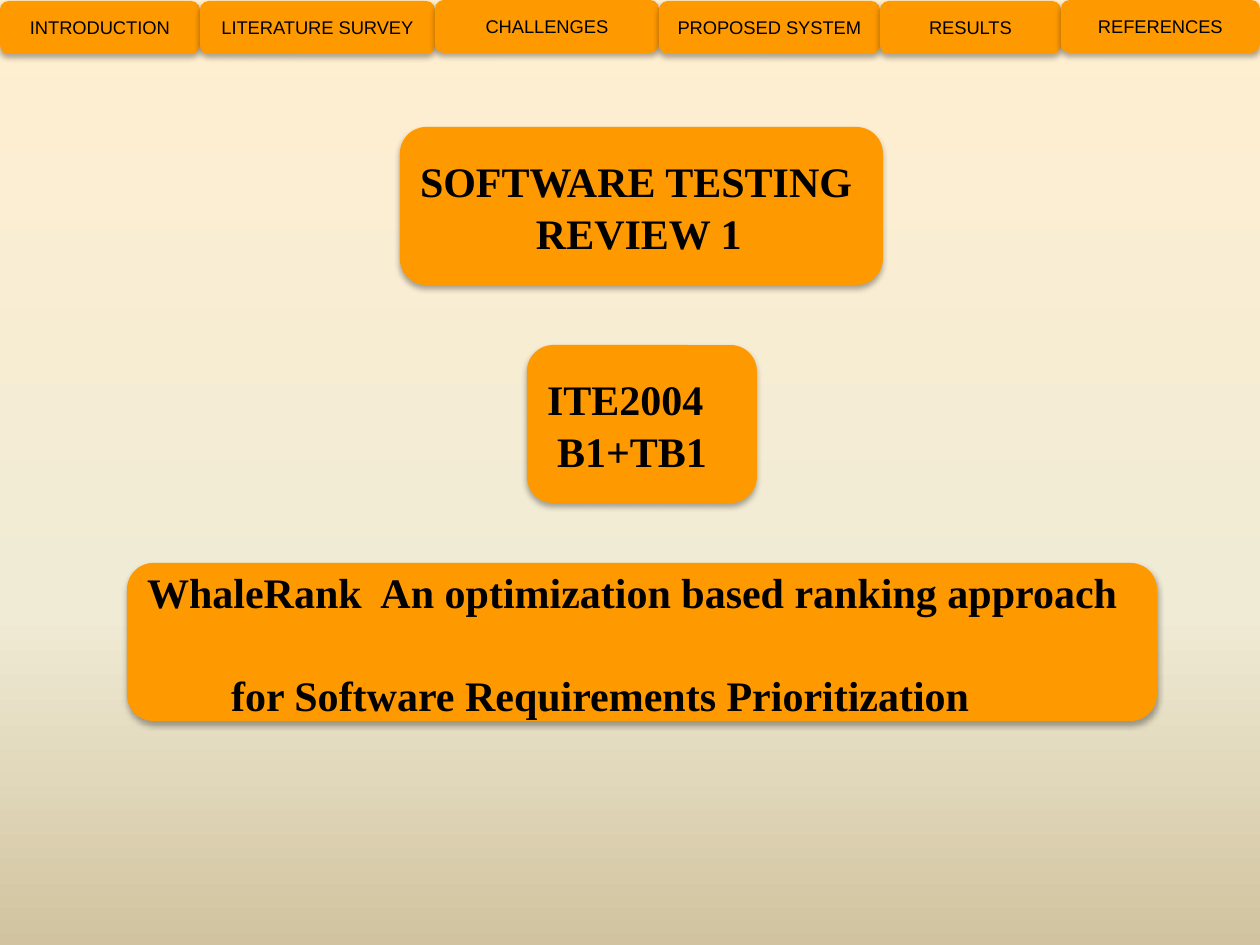
from pptx import Presentation
from pptx.dml.color import RGBColor
from pptx.enum.shapes import MSO_SHAPE as SHAPE
from pptx.enum.text import MSO_ANCHOR as ANCHOR, PP_ALIGN as ALIGN
from pptx.oxml import parse_xml
from pptx.oxml.ns import nsdecls
from pptx.util import Emu, Pt

PX = 914400 // 126
ORANGE = RGBColor(0xFF, 0x99, 0x00)
BLACK = RGBColor(0, 0, 0)
CREAM = RGBColor(0xFF, 0xEF, 0xD1)
IVORY = RGBColor(0xF0, 0xEB, 0xD5)
SAND = RGBColor(0xD1, 0xC3, 0x9F)


def px(n):
    return Emu(n * PX)


class Deck:
    tab_font, tab_size = "Arial", Pt(10.5)
    title_font, title_size = "Times New Roman", Pt(24)

    def __init__(self, prs):
        self.s = prs.slides.add_slide(prs.slide_layouts[6])

    def background(self, stops):
        gs = "".join(
            f'<a:gs pos="{pos * 1000}"><a:srgbClr val="{color}"/></a:gs>'
            for pos, color in stops)
        self.s.element.cSld.insert(0, parse_xml(
            f'<p:bg {nsdecls("p", "a")}><p:bgPr><a:gradFill rotWithShape="1">'
            f'<a:gsLst>{gs}</a:gsLst><a:lin ang="5400000" scaled="0"/>'
            '</a:gradFill><a:effectLst/></p:bgPr></p:bg>'))

    def box(self, x, y, w, h):
        sp = self.s.shapes.add_shape(
            SHAPE.ROUNDED_RECTANGLE, px(x), px(y), px(w), px(h))
        sp.fill.solid()
        sp.fill.fore_color.rgb = ORANGE
        sp.line.fill.background()
        sp.shadow.inherit = False
        # Soft shadow straight below
        sp.element.spPr.find("{*}effectLst").append(parse_xml(
            f'<a:outerShdw {nsdecls("a")} blurRad="{Pt(3.5)}" dist="{Pt(2.2)}" '
            'dir="5400000" rotWithShape="0"><a:srgbClr val="000000">'
            '<a:alpha val="32000"/></a:srgbClr></a:outerShdw>'))
        sp.text_frame.vertical_anchor = ANCHOR.MIDDLE
        return sp.text_frame

    def style(self, p, font, size, bold, align):
        p.alignment = align
        for r in p.runs:
            r.font.name, r.font.size, r.font.bold = font, size, bold
            r.font.color.rgb = BLACK

    def tab(self, text, x, y, w, h):
        tf = self.box(x, y, w, h)
        tf.text = text
        self.style(tf.paragraphs[0], self.tab_font, self.tab_size, False,
                   ALIGN.CENTER)

    def title(self, lines, x, y, w, h, indent, gap=0):
        tf = self.box(x, y, w, h)
        tf.text = "\n".join(lines)
        for p in tf.paragraphs:
            self.style(p, self.title_font, self.title_size, True, ALIGN.LEFT)
            p.line_spacing = 1.04
        # The second line is set in from the first
        p.space_before = Pt(gap)
        p._p.get_or_add_pPr().set("marL", str(px(indent)))


def main():
    prs = Presentation()
    prs.slide_width, prs.slide_height = px(1260), px(945)
    deck = Deck(prs)
    deck.background([(0, CREAM), (65, IVORY), (100, SAND)])

    # Navigation tabs, edge to edge
    tabs = [("INTRODUCTION", 200, 1), ("LITERATURE SURVEY", 435, 1),
            ("CHALLENGES", 659, 0), ("PROPOSED SYSTEM", 880, 1),
            ("RESULTS", 1061, 1), ("REFERENCES", 1260, 0)]
    left = 0
    for text, right, top in tabs:
        deck.tab(text, left, top, right - left, 53)
        left = right

    # Title boxes
    deck.title(["SOFTWARE TESTING", "REVIEW 1"], 400, 127, 483, 158, 116)
    deck.title(["ITE2004", "B1+TB1"], 527, 345, 230, 158, 10)
    deck.title(["WhaleRank  An optimization based ranking approach",
                "for Software Requirements Prioritization"],
               127, 563, 1030, 158, 84, gap=28.8)

    prs.save("out.pptx")


if __name__ == "__main__":
    main()
